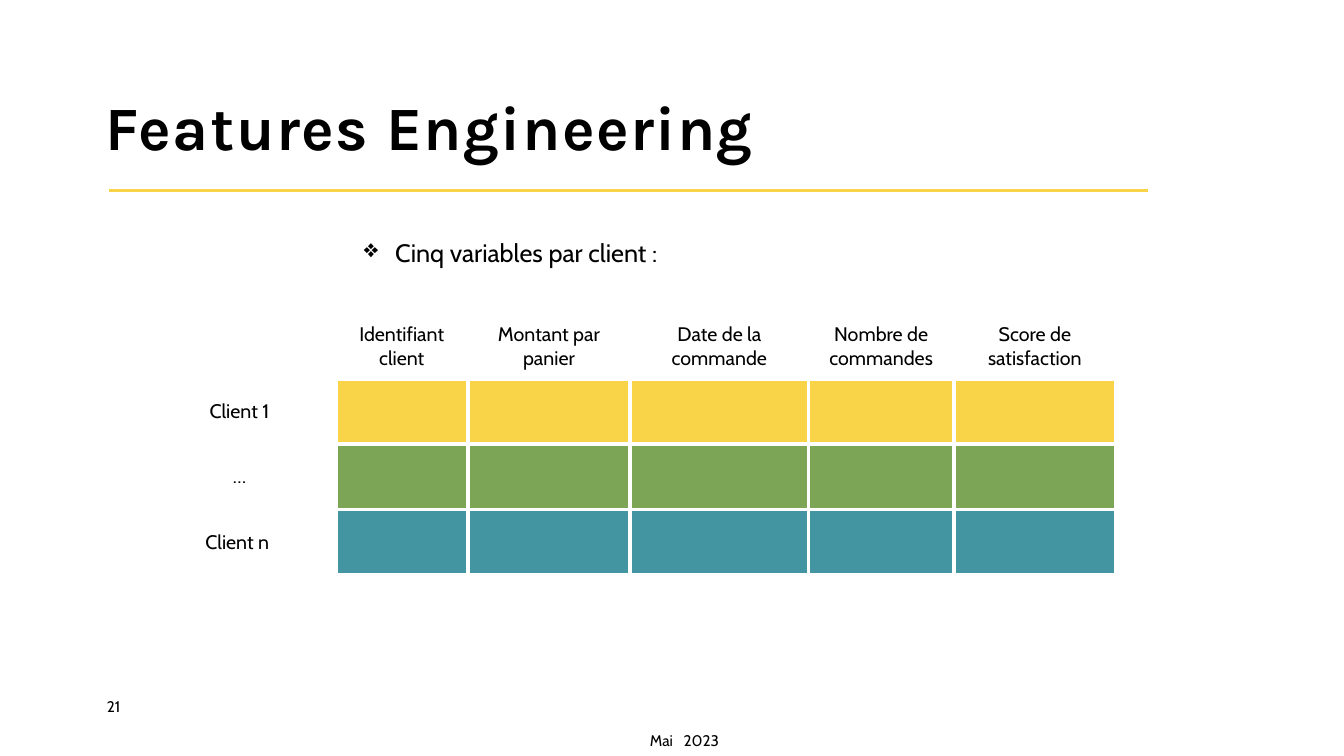
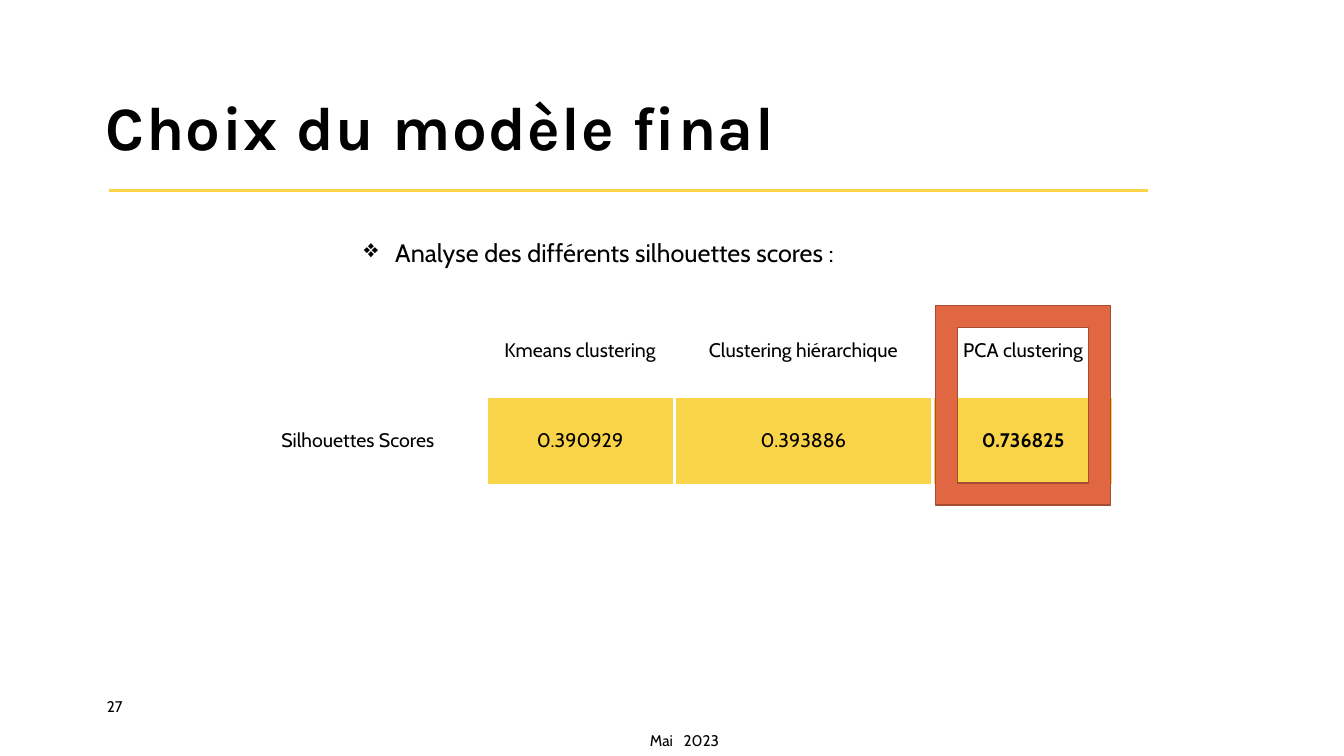
import dataclasses
import typing

import pptx
import pptx.dml.color
import pptx.enum.shapes
import pptx.enum.text
import pptx.oxml.ns
import pptx.util
from lxml import etree

RGB = pptx.dml.color.RGBColor
ALIGN = pptx.enum.text.PP_ALIGN
ANCHOR = pptx.enum.text.MSO_ANCHOR
SHAPE = pptx.enum.shapes.MSO_SHAPE
Pt = pptx.util.Pt
qn = pptx.oxml.ns.qn

BLACK = RGB(0x00, 0x00, 0x00)
WHITE = RGB(0xFF, 0xFF, 0xFF)
YELLOW = RGB(0xF9, 0xD4, 0x48)
GREEN = RGB(0x7C, 0xA6, 0x55)
TEAL = RGB(0x44, 0x95, 0xA2)
ORANGE = RGB(0xE0, 0x67, 0x42)
RUST = RGB(0xA6, 0x4C, 0x31)

WIDTH = pptx.util.Inches(13.33)
HEIGHT = pptx.util.Inches(7.5)


class Box(typing.NamedTuple):
    """A place in hundredths of the slide's width and height."""
    left: float
    top: float
    width: float
    height: float


@dataclasses.dataclass(frozen=True)
class Style:
    size: int
    font: str = "Cabin"
    bold: bool = False
    gap: float = 0


@dataclasses.dataclass(frozen=True)
class Row:
    texts: tuple[str, ...]
    fill: RGB | None = None
    bold: tuple[str, ...] = ()


@dataclasses.dataclass(frozen=True)
class Grid:
    left: float
    top: float
    cols: tuple[float, ...]
    height: float
    rows: tuple[Row, ...]


@dataclasses.dataclass(frozen=True)
class Page:
    title: str
    lead: str
    number: str
    grid: Grid
    frame: Box | None = None


TITLE = Style(44, "Karla", True, 1)
LEAD = Style(18)
CELL = Style(14)
STRONG = Style(14, bold=True)
SMALL = Style(11)
WIDE = Style(11, gap=5)

TITLE_BOX = Box(7.88, 12.8, 81.3, 8.93)
LEAD_BOX = Box(26.33, 30.67, 47.33, 5.33)
NUMBER_BOX = Box(7.95, 92.27, 4.28, 3.6)
DATE_BOX = Box(45.53, 96, 10.8, 3.33)
RULE = Box(8.1, 25.2, 77.33, 0)

PAGES = (
    Page("Features Engineering", "Cinq variables par client :", "21", Grid(
        10.65, 41.47, (14.33, 9.83, 12.08, 13.28, 10.8, 12.08), 8.64, (
            Row(("", "Identifiant client", "Montant par panier",
                 "Date de la commande", "Nombre de commandes",
                 "Score de satisfaction")),
            Row(("Client 1",), YELLOW),
            Row(("…",), GREEN),
            Row(("Client n ",), TEAL)))),
    Page("Choix du modèle final",
         "Analyse des différents silhouettes scores :", "27", Grid(
             17.1, 40.4, (19.05, 14.03, 19.2, 13.5), 11.95, (
                 Row(("", "Kmeans clustering", "Clustering hiérarchique",
                      "PCA clustering")),
                 Row(("Silhouettes Scores", "0.390929", "0.393886",
                      "0.736825"), YELLOW, ("0.736825",)))),
         Box(69.6, 40.4, 13.05, 26.4)),
)


def across(share: float) -> int:
    return round(WIDTH * share / 100)


def down(share: float) -> int:
    return round(HEIGHT * share / 100)


def place(box: Box) -> tuple[int, int, int, int]:
    return (across(box.left), down(box.top),
            across(box.width), down(box.height))


def add_run(para, text: str, style: Style) -> None:
    run = para.add_run()
    run.text = text
    run.font.size = Pt(style.size)
    run.font.name = style.font
    run.font.bold = style.bold
    run.font.color.rgb = BLACK
    if style.gap:
        run.font._element.set("spc", str(round(style.gap * 100)))


def add_text(slide, box: Box, inset: bool = True):
    """Add an empty text box and return its frame."""
    frame = slide.shapes.add_textbox(*place(box)).text_frame
    frame.word_wrap = True
    if not inset:
        frame.margin_left = frame.margin_right = 0
        frame.margin_top = frame.margin_bottom = 0
    return frame


def add_mark(para) -> None:
    """Give a paragraph a diamond bullet with a hanging indent."""
    props = para._p.get_or_add_pPr()
    dent = across(2.34)
    props.set("marL", str(dent))
    props.set("indent", str(-dent))
    etree.SubElement(props, qn("a:buChar")).set("char", "❖")


def add_edges(cell) -> None:
    """Draw white borders, which must stand before the cell's fill."""
    props = cell._tc.get_or_add_tcPr()
    for side in ("L", "R", "T", "B"):
        edge = etree.SubElement(props, qn(f"a:ln{side}"))
        edge.set("w", str(Pt(3)))
        fill = etree.SubElement(edge, qn("a:solidFill"))
        etree.SubElement(fill, qn("a:srgbClr")).set("val", str(WHITE))


def add_grid(slide, grid: Grid) -> None:
    box = Box(grid.left, grid.top, sum(grid.cols),
              grid.height * len(grid.rows))
    table = slide.shapes.add_table(
        len(grid.rows), len(grid.cols), *place(box)).table
    table.first_row = table.horz_banding = False
    for col, width in zip(table.columns, grid.cols):
        col.width = across(width)
    for line, row in zip(table.rows, grid.rows):
        line.height = down(grid.height)
        for spot, cell in enumerate(line.cells):
            add_edges(cell)
            cell.vertical_anchor = ANCHOR.MIDDLE
            if row.fill is not None and spot > 0:
                cell.fill.solid()
                cell.fill.fore_color.rgb = row.fill
            else:
                cell.fill.background()
            text = row.texts[spot] if spot < len(row.texts) else ""
            if text:
                para = cell.text_frame.paragraphs[0]
                para.alignment = ALIGN.CENTER
                add_run(para, text, STRONG if text in row.bold else CELL)


def add_rule(slide) -> None:
    left, top, width, _ = place(RULE)
    rule = slide.shapes.add_connector(
        pptx.enum.shapes.MSO_CONNECTOR.STRAIGHT, left, top, left + width, top)
    rule.line.color.rgb = YELLOW
    rule.line.width = Pt(1.5)
    etree.SubElement(rule._element.spPr, qn("a:effectLst"))


def add_frame(slide, box: Box) -> None:
    frame = slide.shapes.add_shape(SHAPE.FRAME, *place(box))
    frame.shadow.inherit = False
    frame.fill.solid()
    frame.fill.fore_color.rgb = ORANGE
    frame.line.color.rgb = RUST
    frame.line.width = Pt(1)


def add_page(deck, page: Page) -> None:
    slide = deck.slides.add_slide(deck.slide_layouts[6])
    head = add_text(slide, TITLE_BOX, inset=False)
    head.vertical_anchor = ANCHOR.BOTTOM
    head.paragraphs[0].line_spacing = 0.9
    add_run(head.paragraphs[0], page.title, TITLE)
    add_grid(slide, page.grid)
    add_run(add_text(slide, NUMBER_BOX, inset=False).paragraphs[0],
            page.number, SMALL)
    add_rule(slide)
    lead = add_text(slide, LEAD_BOX).paragraphs[0]
    add_mark(lead)
    add_run(lead, page.lead, LEAD)
    date = add_text(slide, DATE_BOX).paragraphs[0]
    date.alignment = ALIGN.CENTER
    for text, style in (("Mai", SMALL), (" ", WIDE), ("2023", SMALL)):
        add_run(date, text, style)
    if page.frame:
        add_frame(slide, page.frame)


def main() -> None:
    deck = pptx.Presentation()
    deck.slide_width, deck.slide_height = WIDTH, HEIGHT
    for page in PAGES:
        add_page(deck, page)
    deck.save("out.pptx")


if __name__ == "__main__":
    main()
